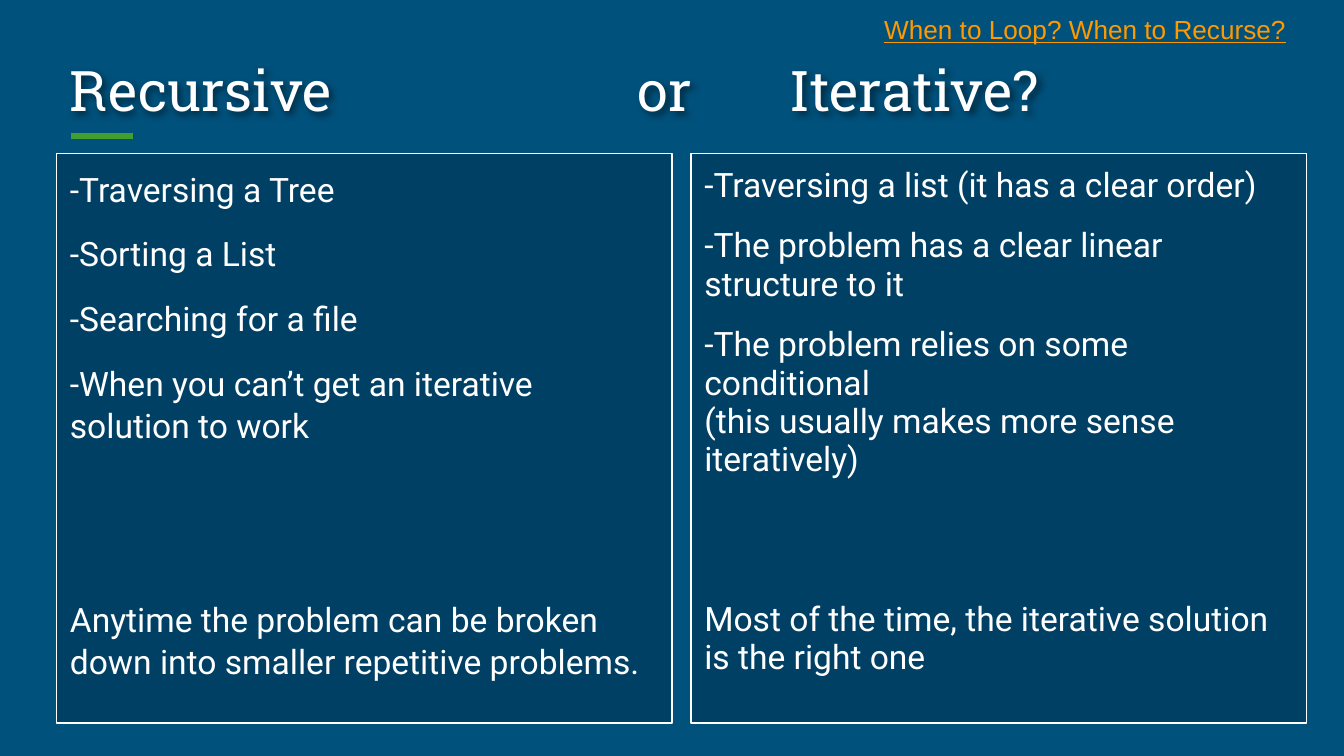
from copy import deepcopy

from lxml.etree import SubElement
from pptx import Presentation
from pptx.dml.color import RGBColor
from pptx.enum.shapes import MSO_CONNECTOR
from pptx.enum.text import MSO_ANCHOR, MSO_AUTO_SIZE, PP_ALIGN
from pptx.oxml.ns import qn
from pptx.util import Inches, Pt


def rgb(value):
    return RGBColor.from_string(value)


def write(sp, texts, *, size, font, color="FFFFFF", anchor=MSO_ANCHOR.TOP,
          spacing=1.0, before=0, last_before=0, after=0, underline=False):
    """Fill a shape with unbulleted paragraphs; \\v breaks a line, a tuple gives runs."""
    tf = sp.text_frame
    tf.word_wrap = True
    tf.auto_size = MSO_AUTO_SIZE.NONE
    tf.vertical_anchor = anchor
    tf.margin_left = tf.margin_right = tf.margin_top = tf.margin_bottom = Inches(0.1)
    last = len(texts) - 1
    for i, text in enumerate(texts):
        p = tf.add_paragraph() if i else tf.paragraphs[0]
        if isinstance(text, tuple):
            for piece in text:
                p.add_run().text = piece
        else:
            p.text = text
        p.alignment = PP_ALIGN.LEFT
        p.line_spacing = spacing
        p.space_before = Pt(0 if i == 0 else last_before if i == last else before)
        p.space_after = Pt(after if i == last else 0)
        pPr = p._p.get_or_add_pPr()
        pPr.set("marL", "0")
        pPr.set("indent", "0")
        SubElement(pPr, qn("a:buNone"))
        for r in p.runs:
            r.font.size = Pt(size)
            r.font.name = font
            r.font.color.rgb = rgb(color)
            if underline:
                r.font.underline = True
        for br in p._p.findall(qn("a:br")):
            br.append(deepcopy(p.runs[0]._r.rPr))


prs = Presentation()
prs.slide_width = Inches(10)
prs.slide_height = prs.slide_width * 9 // 16
s = prs.slides.add_slide(prs.slide_layouts[3])
s.background.fill.solid()
s.background.fill.fore_color.rgb = rgb("00517C")

LEFT, COL_W, GAP = 0.42, 4.58, 0.14
TOP, COL_H = 1.14, 4.24

# Accent line under the title
accent = s.shapes.add_connector(MSO_CONNECTOR.STRAIGHT, Inches(0.53), Inches(1.01),
                                Inches(0.99), Inches(1.01))
accent.line.color.rgb = rgb("419E2F")
accent.line.width = Pt(3)
SubElement(accent._element.spPr, qn("a:effectLst"))

# Title: its two spaces are widened by character spacing, in points
title = s.shapes.title
title.left, title.top, title.width, title.height = map(Inches, (LEFT, 0.26, 9.15, 0.75))
write(title, [("Recursive", " ", "or", " ", "Iterative?")], size=30,
      font="Roboto Slab", anchor=MSO_ANCHOR.BOTTOM)
title_runs = title.text_frame.paragraphs[0].runs
for r, widen in zip(title_runs[1::2], (156.5, 44.7)):
    r._r.rPr.set("spc", str(round(widen * 100)))

# Soft shadow behind the title
title.fill.background()
effects = SubElement(title._element.spPr, qn("a:effectLst"))
shadow = SubElement(effects, qn("a:outerShdw"), blurRad=str(Pt(4)),
                    dist=str(Pt(2)), dir="2700000", algn="tl", rotWithShape="0")
shade = SubElement(shadow, qn("a:srgbClr"), val="000000")
SubElement(shade, qn("a:alpha"), val="50000")

# Two columns: examples, then a conclusion set apart by a larger gap
columns = [
    (1.05, 81, ["-Traversing a Tree",
                "-Sorting a List",
                "-Searching for a file",
                "-When you can’t get an iterative solution to work",
                "Anytime the problem can be broken down into smaller repetitive problems."]),
    (0.95, 65, ["-Traversing a list (it has a clear order)",
                "-The problem has a clear linear structure to it",
                "-The problem relies on some conditional\v"
                "(this usually makes more sense iteratively)",
                "Most of the time, the iterative solution is the right one"]),
]
for col, (spacing, last_before, texts) in enumerate(columns):
    body = s.placeholders[col + 1]
    body.left, body.top = Inches(LEFT + col * (COL_W + GAP)), Inches(TOP)
    body.width, body.height = Inches(COL_W), Inches(COL_H)
    body.fill.solid()
    body.fill.fore_color.rgb = rgb("004065")
    body.line.color.rgb = rgb("FFFFFF")
    body.line.width = Pt(0.75)
    write(body, texts, size=18, font="Roboto", spacing=spacing, before=12,
          last_before=last_before, after=12)

# Reading reference in the top right corner
reference = s.shapes.add_textbox(Inches(6.48), 0, Inches(3.52), Inches(0.44))
write(reference, ["When to Loop? When to Recurse?"], size=14, font="Arial",
      color="FF9900", underline=True)

prs.save("out.pptx")
